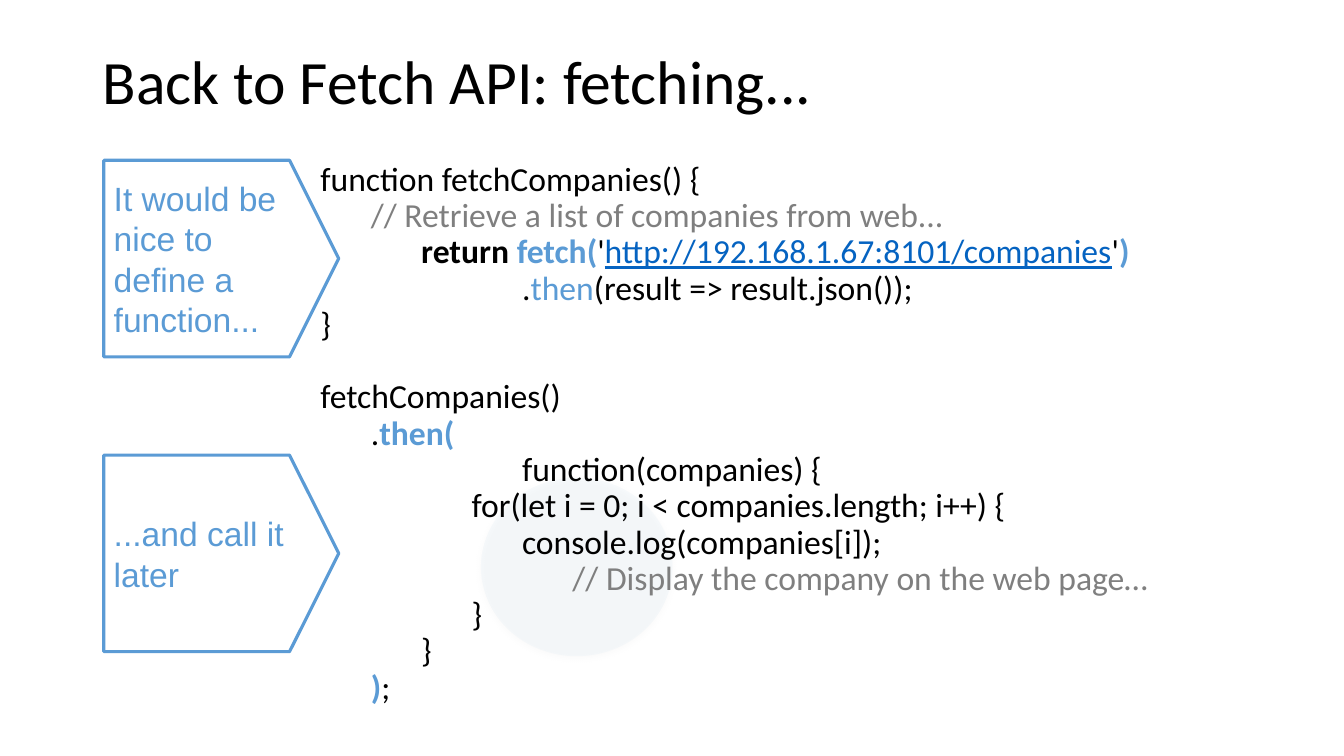
from lxml import etree
from pptx import Presentation
from pptx.dml.color import RGBColor
from pptx.enum.shapes import MSO_SHAPE
from pptx.enum.text import MSO_ANCHOR, PP_ALIGN
from pptx.oxml import parse_xml
from pptx.oxml.ns import nsdecls, qn
from pptx.util import Inches, Pt

COLORS = {"text": "000000", "accent": "5B9BD5", "comment": "7F7F7F",
          "url": "0563C1", "paper": "FFFFFF"}

TITLE = "Back to Fetch API: fetching..."
CALLOUTS = ["It would be nice to define a function...", "...and call it later"]

# Code blocks of lines: (indent level, [(text, colour name, bold), ...])
CODE_BLOCKS = [
    [
        (0, [("function fetchCompanies() {", "text", False)]),
        (1, [("// Retrieve a list of companies from web...", "comment", False)]),
        (2, [("return ", "text", True), ("fetch(", "accent", True),
             ("'", "text", False),
             ("http://192.168.1.67:8101/companies", "url", False),
             ("'", "text", False), (")", "accent", True)]),
        (4, [(".", "text", False), ("then", "accent", False),
             ("(result => result.json());", "text", False)]),
        (0, [("}", "text", False)]),
    ],
    [
        (0, [("fetchCompanies()", "text", False)]),
        (1, [(".", "text", False), ("then(", "accent", True)]),
        (4, [("function(companies) {", "text", False)]),
        (3, [("for(let i = 0; i < companies.length; i++) {", "text", False)]),
        (4, [("console.log(companies[i]);", "text", False)]),
        (5, [("// Display the company on the web page…", "comment", False)]),
        (3, [("}", "text", False)]),
        (2, [("}", "text", False)]),
        (1, [(")", "accent", True), (";", "text", False)]),
    ],
]

INDENT = 0.5
LINE_SPACING = 0.9
BLOCK_GAP = 26
CALLOUT_LEFT, CALLOUT_TOP = 1.03, 1.59
CALLOUT_WIDTH, CALLOUT_HEIGHT = 2.33, 1.95
CALLOUT_PITCH = 1.5 * CALLOUT_HEIGHT


def color(name):
    return RGBColor.from_string(COLORS[name])


def style(run, size, font, color_name, bold=False):
    run.font.size = Pt(size)
    run.font.name = font
    run.font.bold = bold
    run.font.color.rgb = color(color_name)


def add_text_frame(slide, left, top, width, height):
    box = slide.shapes.add_textbox(*map(Inches, (left, top, width, height)))
    box.text_frame.word_wrap = True
    return box.text_frame


def add_spot(slide):
    """Add the faint circle with a soft shadow behind the code."""
    spot = slide.shapes.add_shape(
        MSO_SHAPE.OVAL, *map(Inches, (4.77, 4.74, 1.9, 1.77)))
    spot.fill.solid()
    spot.fill.fore_color.rgb = color("accent")
    spot.line.fill.background()
    fill_color = next(spot.element.spPr.iter(qn("a:srgbClr")))
    etree.SubElement(fill_color, qn("a:alpha"), val="4000")
    spot.element.spPr.append(parse_xml(
        f'<a:effectLst {nsdecls("a")}>'
        f'<a:outerShdw blurRad="{Pt(4.5)}" dist="{Pt(1.5)}" dir="5400000">'
        f'<a:srgbClr val="{COLORS["text"]}"><a:alpha val="50000"/></a:srgbClr>'
        '</a:outerShdw></a:effectLst>'))


def add_code(slide):
    frame = add_text_frame(slide, 3.08, 1.56, 9.63, 5.18)
    paragraph = None
    for block in CODE_BLOCKS:
        for line_number, (level, pieces) in enumerate(block):
            starts_new_block = paragraph is not None and line_number == 0
            paragraph = (frame.paragraphs[0] if paragraph is None
                         else frame.add_paragraph())
            paragraph.line_spacing = LINE_SPACING
            if starts_new_block:
                paragraph.space_before = Pt(BLOCK_GAP)
            paragraph._p.get_or_add_pPr().set("marL", str(Inches(level * INDENT)))
            for text, color_name, bold in pieces:
                run = paragraph.add_run()
                run.text = text
                style(run, 24, "Calibri", color_name, bold)
                if color_name == "url":
                    run.font.underline = True


def add_title(slide):
    frame = add_text_frame(slide, 0.92, 0.4, 11.5, 0.87)
    frame.vertical_anchor = MSO_ANCHOR.MIDDLE
    frame.text = TITLE
    frame.paragraphs[0].line_spacing = LINE_SPACING
    style(frame.paragraphs[0].runs[0], 44, "Calibri", "text")


def add_callout(slide, text, top):
    callout = slide.shapes.add_shape(
        MSO_SHAPE.PENTAGON,
        *map(Inches, (CALLOUT_LEFT, top, CALLOUT_WIDTH, CALLOUT_HEIGHT)))
    callout.adjustments[0] = 0.25
    callout.shadow.inherit = False
    callout.fill.solid()
    callout.fill.fore_color.rgb = color("paper")
    callout.line.color.rgb = color("accent")
    callout.line.width = Pt(2.25)
    frame = callout.text_frame
    frame.margin_left = frame.margin_right = Inches(0.1)
    frame.margin_top = frame.margin_bottom = Inches(0.1)
    frame.vertical_anchor = MSO_ANCHOR.MIDDLE
    frame.word_wrap = True
    frame.text = text
    frame.paragraphs[0].alignment = PP_ALIGN.LEFT
    style(frame.paragraphs[0].runs[0], 24, "Arial", "accent")


def main():
    deck = Presentation()
    deck.slide_width, deck.slide_height = Inches(13.33), Inches(7.5)
    slide = deck.slides.add_slide(deck.slide_layouts[6])
    add_spot(slide)
    add_code(slide)
    add_title(slide)
    for row, text in enumerate(CALLOUTS):
        add_callout(slide, text, CALLOUT_TOP + row * CALLOUT_PITCH)
    deck.save("out.pptx")


if __name__ == "__main__":
    main()
